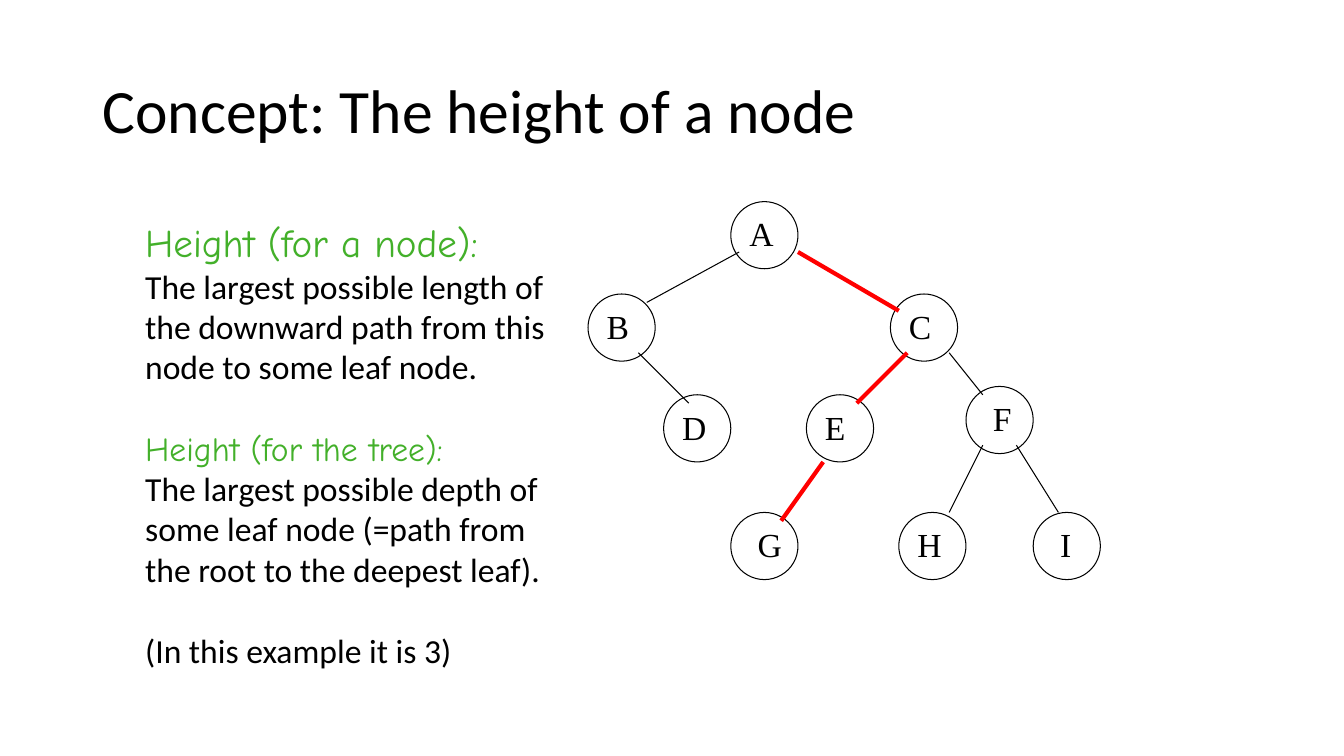
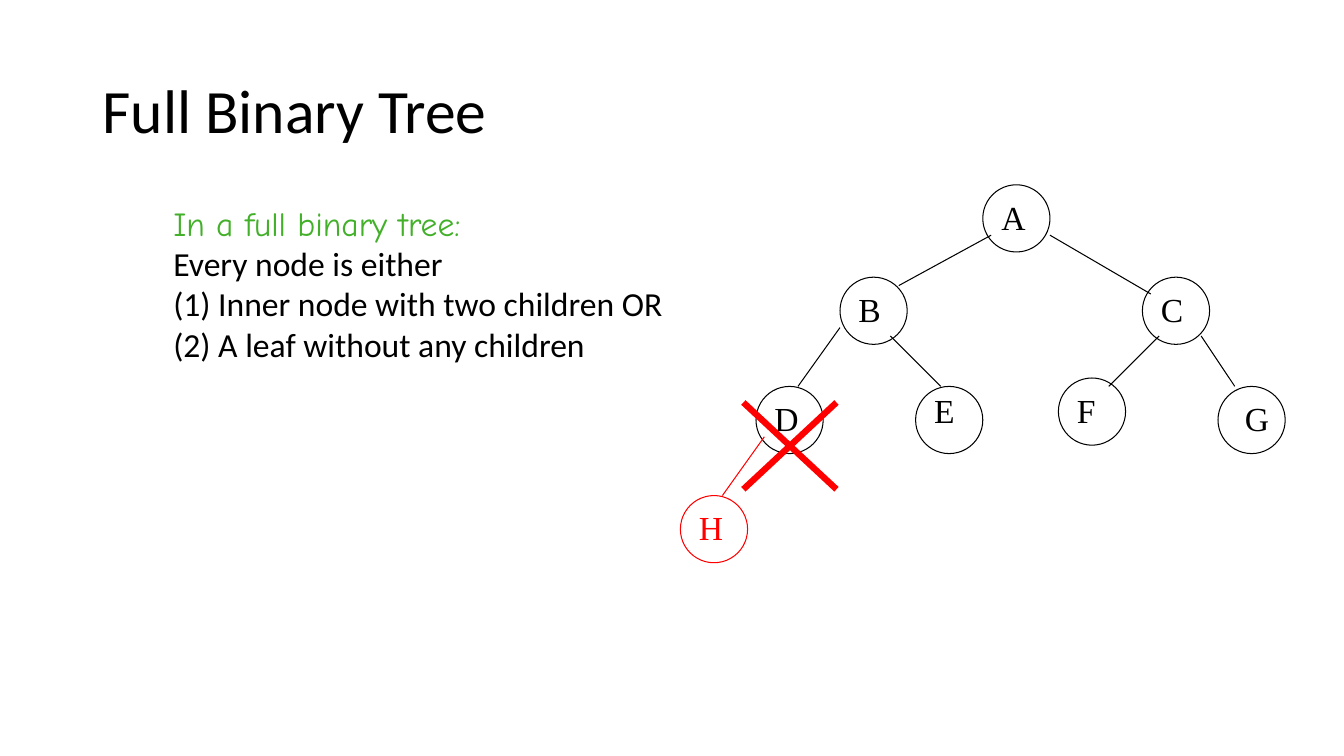
from lxml import etree
from pptx import Presentation
from pptx.dml.color import RGBColor
from pptx.enum.shapes import MSO_CONNECTOR, MSO_SHAPE
from pptx.enum.text import MSO_ANCHOR, MSO_AUTO_SIZE, PP_ALIGN
from pptx.oxml.ns import qn
from pptx.util import Pt

LINE = MSO_CONNECTOR.STRAIGHT
OVAL = MSO_SHAPE.OVAL
MIDDLE, BOTTOM, TOP = MSO_ANCHOR.MIDDLE, MSO_ANCHOR.BOTTOM, MSO_ANCHOR.TOP
LEFT = PP_ALIGN.LEFT
FIXED = MSO_AUTO_SIZE.NONE

BLACK, GREEN, RED = "000000", "43B02A", "FF0000"
SANS, HAND, SERIF = "Calibri", "Comic Neue", "Times New Roman"
UNIT = 6
NODE = 8 * UNIT
GAP = 29.3
HEAD = (66, 28.8, 828, 104.4)

CROWN = [("A", 17, 0), ("B", 0, 11), ("C", 36, 11)]
ARMS = [(18, 6, 7, 12), (6, 18, 12, 24)]
SPINE = [(25, 6, 37, 13), (38, 18, 32, 24)]


def color(code):
    return RGBColor.from_string(code)


def place(shape, box):
    shape.left, shape.top, shape.width, shape.height = map(Pt, box)


def style(par, face, size, tone):
    par.alignment = LEFT
    font = par.font
    font.name, font.size = face, Pt(size)
    font.color.rgb = color(tone)


def title(slide, box, text):
    shape = slide.shapes.title
    place(shape, box)
    frame = shape.text_frame
    frame.text = text
    frame.vertical_anchor = MIDDLE
    frame.auto_size = FIXED
    par = frame.paragraphs[0]
    par.line_spacing = 0.9
    style(par, SANS, 44, BLACK)


def body(slide, box, rows):
    shape = slide.placeholders[1]
    place(shape, box)
    frame = shape.text_frame
    frame.text = "\n".join(row[0] for row in rows)
    frame.vertical_anchor = TOP
    frame.auto_size = FIXED
    for par, (text, face, size, tone, gap) in zip(frame.paragraphs, rows):
        par.space_before = Pt(gap)
        props = par._p.get_or_add_pPr()
        props.set("marL", "0")
        props.set("indent", "0")
        etree.SubElement(props, qn("a:buNone"))
        style(par, face, size, tone)


def lead(text, size=24, gap=0):
    return text, HAND, size, GREEN, gap


def plain(text, gap=0):
    return text, SANS, 24, BLACK, gap


def stroke(slide, ends, tone, width):
    line = slide.shapes.add_connector(LINE, *map(Pt, ends))
    line.line.color.rgb = color(tone)
    line.line.width = Pt(width)
    etree.SubElement(line._element.spPr, qn("a:effectLst"))


def node(slide, left, top, name, tone, right=1, down=1):
    shape = slide.shapes.add_shape(OVAL, Pt(left), Pt(top), Pt(NODE), Pt(NODE))
    shape.shadow.inherit = False
    shape.fill.background()
    shape.line.color.rgb = color(tone)
    shape.line.width = Pt(0.75)
    frame = shape.text_frame
    frame.text = name
    frame.word_wrap = True
    frame.vertical_anchor = BOTTOM
    frame.margin_left = Pt(0.2 + UNIT * right)
    frame.margin_right = frame.margin_top = Pt(0)
    frame.margin_bottom = Pt(3.8 + UNIT * (1 - down))
    style(frame.paragraphs[0], SERIF, 24, tone)


def tree(slide, left, top, nodes, edges, tone=BLACK, width=0.75):
    for name, col, row, *shift in nodes:
        node(slide, left + col * UNIT, top + row * UNIT, name, tone, *shift)
    for edge in edges:
        ends = [base + step * UNIT
                for base, step in zip((left, top) * 2, edge)]
        stroke(slide, ends, tone, width)


def cross(slide, left, top, width, height):
    right, base = left + width, top + height
    for ends in ((left, top, right, base), (right, top, left, base)):
        stroke(slide, ends, RED, 4.5)


def height(slide):
    title(slide, HEAD, "Concept: The height of a node")
    body(slide, (96.5, 152.6, 306, 332), [
        lead("Height (for a node):", 28),
        plain("The largest possible length of the downward path from this "
              "node to some leaf node."),
        lead("Height (for the tree):", gap=GAP),
        plain("The largest possible depth of some leaf node (=path from "
              "the root to the deepest leaf)."),
        plain("(In this example it is 3)", GAP),
    ])
    spot = (420, 144)
    leaves = [("D", 9, 23), ("E", 26, 23), ("F", 45, 22, 2),
              ("G", 17, 37, 2), ("H", 37, 37), ("I", 53, 37, 2)]
    links = [(43, 18, 47, 23), (47, 29, 43, 37), (51, 29, 56, 37)]
    tree(slide, *spot, CROWN + leaves, ARMS + links)
    tree(slide, *spot, [], SPINE + [(28, 31, 23, 38)], RED, 3)


def full(slide):
    title(slide, HEAD, "Full Binary Tree")
    body(slide, (116.6, 141.1, 432, 124), [
        lead("In a full binary tree:"),
        plain("Every node is either"),
        plain("(1) Inner node with two children OR"),
        plain("(2) A leaf without any children"),
    ])
    spot = (600, 132)
    leaves = [("D", -10, 24), ("E", 9, 24, 1, 0),
              ("F", 26, 23), ("G", 45, 24, 2)]
    links = [(43, 18, 47, 24), (0, 17, -5, 24)]
    tree(slide, *spot, CROWN + leaves, ARMS + SPINE + links)
    tree(slide, *spot, [("H", -19, 37)], [(-9, 30, -14, 37)], RED)
    cross(slide, 531, 287.5, 66.5, 62)


def main():
    deck = Presentation()
    deck.slide_width, deck.slide_height = Pt(960), Pt(540)
    for build in (height, full):
        build(deck.slides.add_slide(deck.slide_layouts[1]))
    deck.save("out.pptx")


if __name__ == "__main__":
    main()
